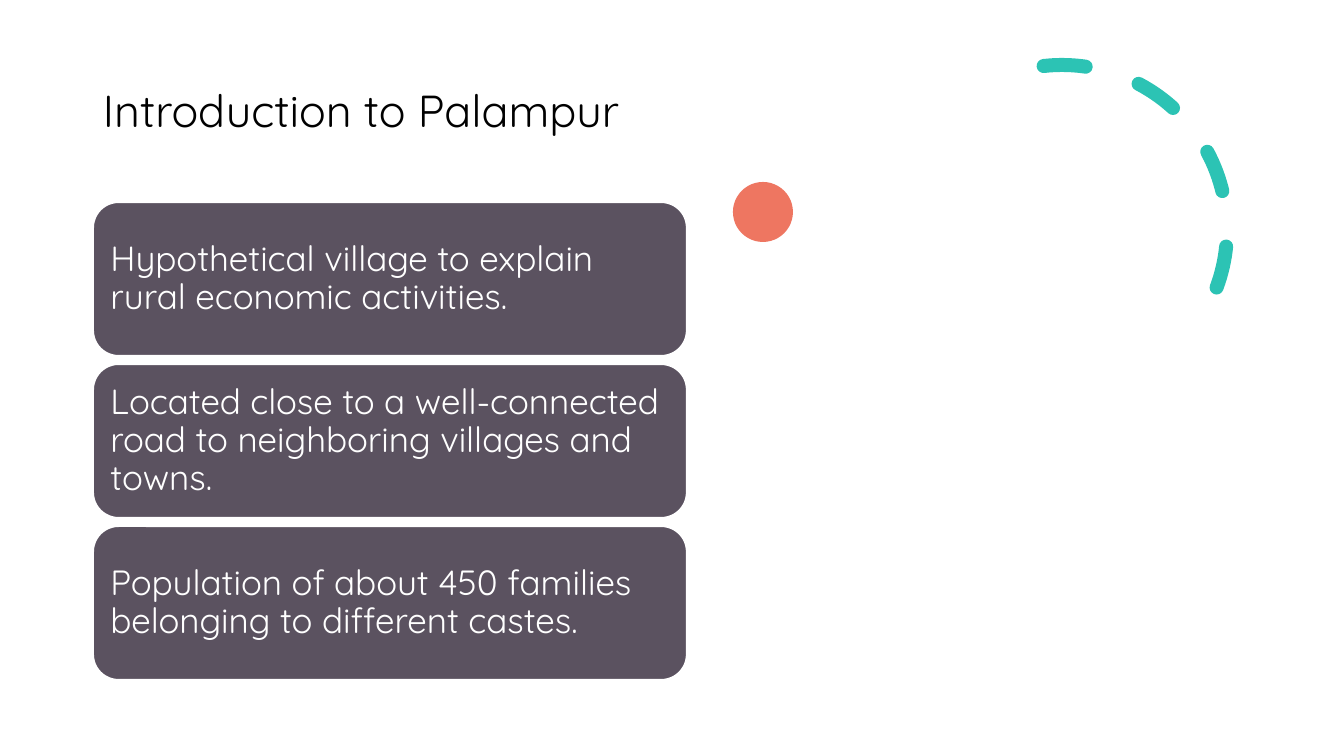
from pptx import Presentation
from pptx.dml.color import RGBColor
from pptx.enum.dml import MSO_LINE_DASH_STYLE as Dash
from pptx.enum.shapes import MSO_SHAPE as Shape
from pptx.enum.text import MSO_ANCHOR as Anchor, PP_ALIGN as Align
from pptx.util import Emu, Pt

TITLE = "Introduction to Palampur"
FACTS = [
    "Hypothetical village to explain rural economic activities.",
    "Located close to a well-connected road to neighboring villages and towns.",
    "Population of about 450 families belonging to different castes.",
]

BLACK = RGBColor(0x00, 0x00, 0x00)
WHITE = RGBColor(0xFF, 0xFF, 0xFF)
PLUM = RGBColor(0x5B, 0x52, 0x60)
CORAL = RGBColor(0xEE, 0x76, 0x61)
TEAL = RGBColor(0x2C, 0xC3, 0xB4)

FONT = "Quicksand"
LEFT, WIDTH = 93, 594
TITLE_TOP, TITLE_HEIGHT = 40, 146
CARD_TOP, CARD_HEIGHT, CARD_GAP, CARD_INSET = 202, 154, 8, 10
DOT = (733, 182, 60, 60)
ARC = (897, 65, 330, 330)
ARC_ANGLES = (158.17, 17.81)


def px(length):
    return Emu(round(length * 914400 / 100.8))


def set_all(target, values):
    for name, value in values.items():
        setattr(target, name, value)


def write(frame, text, size, color, inset):
    side, edge = px(inset), px(inset // 2)
    set_all(frame, {
        "text": text, "word_wrap": True, "vertical_anchor": Anchor.MIDDLE,
        "margin_left": side, "margin_right": side,
        "margin_top": edge, "margin_bottom": edge,
    })
    para = frame.paragraphs[0]
    set_all(para, {"alignment": Align.LEFT, "line_spacing": 0.9})
    set_all(para.runs[0].font, {"name": FONT, "size": Pt(size)})
    para.runs[0].font.color.rgb = color


def add_shape(page, kind, box, fill=None, line=None, line_width=0):
    shape = page.shapes.add_shape(kind, *map(px, box))
    shape.shadow.inherit = False
    for style, color in ((shape.fill, fill), (shape.line.fill, line)):
        if color is None:
            style.background()
        else:
            style.solid()
            style.fore_color.rgb = color
    if line is not None:
        shape.line.width = Pt(line_width)
    return shape


def main():
    deck = Presentation()
    set_all(deck, {"slide_width": px(1344), "slide_height": px(756)})
    page = deck.slides.add_slide(deck.slide_layouts[5])

    title = page.shapes.title
    set_all(title, {"left": px(LEFT), "top": px(TITLE_TOP),
                    "width": px(WIDTH), "height": px(TITLE_HEIGHT)})
    write(title.text_frame, TITLE, 32, BLACK, 10)

    add_shape(page, Shape.OVAL, DOT, fill=CORAL)

    arc = add_shape(page, Shape.ARC, ARC, line=TEAL, line_width=10)
    for index, angle in enumerate(ARC_ANGLES):
        arc.adjustments[index] = angle
    arc.line.dash_style = Dash.DASH
    arc.line._get_or_add_ln().set("cap", "rnd")

    for index, fact in enumerate(FACTS):
        top = CARD_TOP + index * (CARD_HEIGHT + CARD_GAP)
        card = add_shape(page, Shape.ROUNDED_RECTANGLE,
                         (LEFT, top, WIDTH, CARD_HEIGHT), PLUM, WHITE, 1.5)
        write(card.text_frame, fact, 25, WHITE, CARD_INSET)

    deck.save("out.pptx")


if __name__ == "__main__":
    main()
